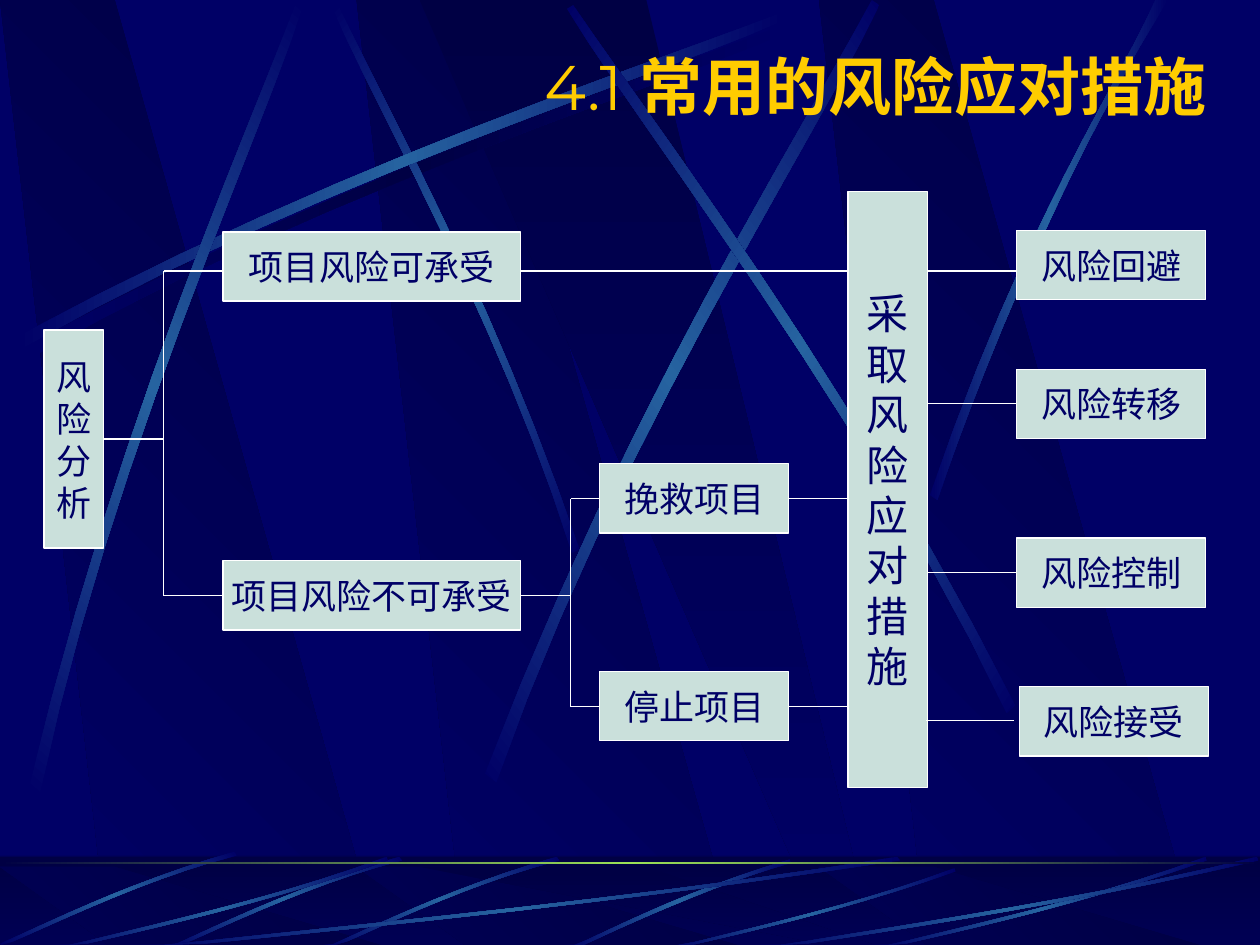
from copy import deepcopy
from typing import NamedTuple, Optional

from lxml import etree
from pptx import Presentation
from pptx.dml.color import RGBColor
from pptx.enum.shapes import MSO_CONNECTOR, MSO_SHAPE
from pptx.enum.text import MSO_ANCHOR, PP_ALIGN
from pptx.oxml.ns import qn
from pptx.util import Inches, Pt

RECT, LINE = MSO_SHAPE.RECTANGLE, MSO_CONNECTOR.STRAIGHT
MID, CENTER, RIGHT = MSO_ANCHOR.MIDDLE, PP_ALIGN.CENTER, PP_ALIGN.RIGHT
NAVY = RGBColor(0x00, 0x00, 0x66)
DARK = RGBColor(0x00, 0x00, 0x44)
STEEL = RGBColor(0x26, 0x63, 0xA0)
LIME = RGBColor(0x9C, 0xE1, 0x57)
MINT = RGBColor(0xCA, 0xE0, 0xDB)
WHITE = RGBColor(0xFF, 0xFF, 0xFF)
GOLD = RGBColor(0xFF, 0xCC, 0x00)
WIDE, HIGH = 10, 7.5
STEPS = 12
SHADE = (DARK, NAVY)
GLOW = (NAVY, STEEL, NAVY)


class Streak(NamedTuple):
    pts: list
    turn: float = 0
    left: float = 0
    top: float = 0
    wide: float = 1
    high: float = 1
    tones: tuple = GLOW


class Box(NamedTuple):
    text: str
    left: float
    top: float
    wide: float = 1.5
    high: float = 0.55
    size: int = 20
    stack: bool = False


class Wire(NamedTuple):
    x1: float
    y1: float
    x2: float
    y2: float
    head: Optional[str] = None
    tail: Optional[str] = None


BEAM = [(0.14, 2.67), (2.78, 1.25), (5.18, 0.51), (6.2, 0.1),
        (6.23, 0.16), (5.22, 0.61), (2.48, 1.43), (0.17, 2.77)]
SWEEP = [(2.66, 0.03), (1.51, 0.43), (0.46, 0.64), (0.01, 0.75),
         (0, 0.74), (0.44, 0.61), (1.64, 0.38), (2.65, 0)]
HOOK = [(4.42, 6.8), (3.55, 7.05), (2.87, 7.4), (2.56, 7.53),
        (2.57, 7.55), (2.88, 7.43), (3.65, 7.03), (4.44, 6.83)]
UPPER = [
    Streak(BEAM, left=0.06, top=0.08, tones=(NAVY, DARK, NAVY)),
    Streak([(4.6, 4.36), (3.91, 2.34), (3.02, 0.77), (2.69, 0.05),
            (2.64, 0.07), (2.95, 0.79), (3.98, 2.58), (4.54, 4.39)], 45),
    Streak(BEAM),
    Streak([(0.23, 6.25), (0.93, 3.34), (1.97, 1.05), (2.35, 0.02),
            (2.41, 0.04), (2.07, 1.08), (0.86, 3.68), (0.32, 6.29)], 311.7),
    Streak([(3.85, 6.14), (4.98, 3.2), (6.38, 1.02), (6.92, 0),
            (6.98, 0.04), (6.49, 1.08), (4.86, 3.55), (3.94, 6.21)], 321.6),
    Streak([(8.06, 5.6), (6.7, 2.93), (5.16, 0.95), (4.55, 0.04),
            (4.5, 0.07), (5.07, 1.01), (6.85, 3.25), (7.99, 5.66)], 34.8),
    Streak([(7.38, 3.93), (8.14, 1.73), (8.88, 0.66), (9.17, 0),
            (9.27, 0), (8.36, 1.45), (7.69, 3.22), (7.44, 3.97)]),
]
LOWER = [
    Streak([(6.27, 6.82), (5.37, 7.09), (4.77, 7.42), (4.48, 7.54),
            (4.53, 7.55), (4.9, 7.37), (5.71, 7), (6.28, 6.85)]),
    Streak(HOOK, 314.9),
    Streak(HOOK, 314.9, -1.25),
    Streak(HOOK, 314.9, -2.56, -0.04),
    Streak(SWEEP, 0, 1, 6.8, 2.31),
    Streak(SWEEP, 0, 0.42, 6.8),
    Streak(SWEEP, 0, 5.27, 6.89, 0.87, 0.88),
    Streak(SWEEP, 0, 6.92, 6.8),
    Streak(SWEEP, 0, 6, 6.8, 1.5),
]
SLANT = [(0.86, 1), (3.02, 1), (0.91, 0), (0, 0)]
WEDGE = [(3.33, 0), (6.58, 1), (6.94, 1), (5.13, 0)]
BOXES = [
    Box("风险分析", 0.35, 2.62, 0.47, 1.73, stack=True),
    Box("项目风险可承受", 1.77, 1.84, 2.36),
    Box("项目风险不可承受", 1.77, 4.45, 2.36),
    Box("停止项目", 4.76, 5.33),
    Box("挽救项目", 4.76, 3.68),
    Box("采取风险应对措施", 6.73, 1.52, 0.63, 4.73, 24, True),
    Box("风险回避", 8.07, 1.83),
    Box("风险接受", 8.09, 5.45),
    Box("风险转移", 8.07, 2.93),
    Box("风险控制", 8.07, 4.27),
]
WIRES = [
    Wire(0.82, 3.48, 1.3, 3.48, head="风险分析"),
    Wire(1.3, 2.15, 1.3, 4.73),
    Wire(1.3, 2.15, 1.77, 2.15),
    Wire(1.3, 4.73, 1.77, 4.73, tail="项目风险不可承受"),
    Wire(4.13, 4.73, 4.53, 4.73, head="项目风险不可承受"),
    Wire(4.53, 3.96, 4.53, 5.61),
    Wire(4.53, 3.96, 4.76, 3.96, tail="挽救项目"),
    Wire(4.53, 5.61, 4.76, 5.61, tail="停止项目"),
    Wire(4.13, 2.15, 6.73, 2.15),
    Wire(6.26, 3.96, 6.73, 3.96, head="挽救项目"),
    Wire(6.26, 5.61, 6.73, 5.61, head="停止项目"),
    Wire(7.36, 2.15, 8.07, 2.15),
    Wire(7.36, 3.2, 8.07, 3.2, tail="风险转移"),
    Wire(7.36, 4.56, 8.07, 4.56, tail="风险控制"),
    Wire(7.35, 5.72, 8.05, 5.72),
]


def apply(item, form: dict) -> None:
    for name, value in form.items():
        setattr(item, name, value)


def blend(shape, tones: tuple, turn: float) -> None:
    shape.shadow.inherit = False
    shape.line.fill.background()
    fill = shape.fill
    fill.gradient()
    fill.gradient_angle = (360 - turn) % 360
    stops = shape._element.spPr.find(qn("a:gradFill")).find(qn("a:gsLst"))
    for _ in tones[2:]:
        stops.insert(1, deepcopy(stops[0]))
    for i, (stop, tone) in enumerate(zip(fill.gradient_stops, tones)):
        stop.color.rgb = tone
        stop.position = i / (len(tones) - 1)


def trace(slide, pts: list, tones: tuple, turn: float) -> None:
    spots = [(Inches(x), Inches(min(y, HIGH))) for x, y in pts]
    pen = slide.shapes.build_freeform(*spots[0])
    pen.add_line_segments(spots[1:], close=True)
    blend(pen.convert_to_shape(), tones, turn)


def curve(a: tuple, b: tuple, c: tuple, d: tuple) -> list:
    steps = [i / STEPS for i in range(STEPS + 1)]
    return [tuple((1 - t) ** 3 * p + 3 * (1 - t) ** 2 * t * q
                  + 3 * (1 - t) * t ** 2 * r + t ** 3 * s
                  for p, q, r, s in zip(a, b, c, d)) for t in steps]


def sweep(slide, item: Streak) -> None:
    pts = [(item.left + x * item.wide, item.top + y * item.high) for x, y in item.pts]
    trace(slide, curve(*pts[:4]) + curve(*pts[4:]), item.tones, item.turn)


def panes(slide, top: float) -> None:
    for pts, left, turn in ((SLANT, 2.83, 135), (SLANT, 0, 135),
                            (SLANT, 6.5, 135), (WEDGE, 0, 90)):
        spots = [(left + x, top + y * (HIGH - top)) for x, y in pts]
        trace(slide, spots, SHADE, turn)


def band(slide, top: float, high: float):
    return slide.shapes.add_shape(RECT, 0, Inches(top), Inches(WIDE), Inches(high))


def scene(slide) -> None:
    slide.background.fill.solid()
    slide.background.fill.fore_color.rgb = NAVY
    panes(slide, 0)
    for item in UPPER:
        sweep(slide, item)
    blend(band(slide, 6.8, 0.7), SHADE, 90)
    panes(slide, 6.88)
    veil = band(slide, 6.79, 0.71)
    veil.shadow.inherit = False
    veil.line.fill.background()
    veil.fill.solid()
    veil.fill.fore_color.rgb = DARK
    tint = veil._element.spPr.find(qn("a:solidFill"))[0]
    etree.SubElement(tint, qn("a:alpha"), val="50000")
    for item in LOWER:
        sweep(slide, item)
    blend(band(slide, 6.84, 0.02), (DARK, LIME, DARK), 0)


def title(slide) -> None:
    frame = slide.shapes.add_textbox(
        Inches(1.17), Inches(0.33), Inches(8.5), Inches(0.7)).text_frame
    apply(frame, {"word_wrap": True, "vertical_anchor": MID})
    para = frame.paragraphs[0]
    para.alignment = RIGHT
    for text, bold in (("4.1 ", False), ("常用的风险应对措施", True)):
        run = para.add_run()
        run.text = text
        apply(run.font, {"size": Pt(36), "name": "Montserrat", "bold": bold})
        run.font.color.rgb = GOLD


def block(slide, box: Box):
    shape = slide.shapes.add_shape(RECT, *map(Inches, box[1:5]))
    shape.shadow.inherit = False
    shape.fill.solid()
    shape.fill.fore_color.rgb = MINT
    shape.line.color.rgb = WHITE
    shape.line.width = Pt(0.75)
    frame = shape.text_frame
    apply(frame, {"word_wrap": False, "vertical_anchor": MID,
                  "text": "\n".join(box.text) if box.stack else box.text})
    for para in frame.paragraphs:
        para.alignment = CENTER
        font = para.runs[0].font
        apply(font, {"size": Pt(box.size), "name": "Times New Roman"})
        font.color.rgb = NAVY
    return shape


def join(slide, wire: Wire, nodes: dict) -> None:
    line = slide.shapes.add_connector(LINE, *map(Inches, wire[:4]))
    line.line.color.rgb = WHITE
    line.line.width = Pt(0.75)
    etree.SubElement(line._element.spPr, qn("a:effectLst"))
    if wire.head:
        line.begin_connect(nodes[wire.head], 3)
        line.end_y = line.begin_y
    if wire.tail:
        line.end_connect(nodes[wire.tail], 1)
        line.begin_y = line.end_y


def main() -> None:
    deck = Presentation()
    apply(deck, {"slide_width": Inches(WIDE), "slide_height": Inches(HIGH)})
    slide = deck.slides.add_slide(deck.slide_layouts[6])
    scene(slide)
    title(slide)
    nodes = {box.text: block(slide, box) for box in BOXES}
    for wire in WIRES:
        join(slide, wire, nodes)
    deck.save("out.pptx")


if __name__ == "__main__":
    main()
